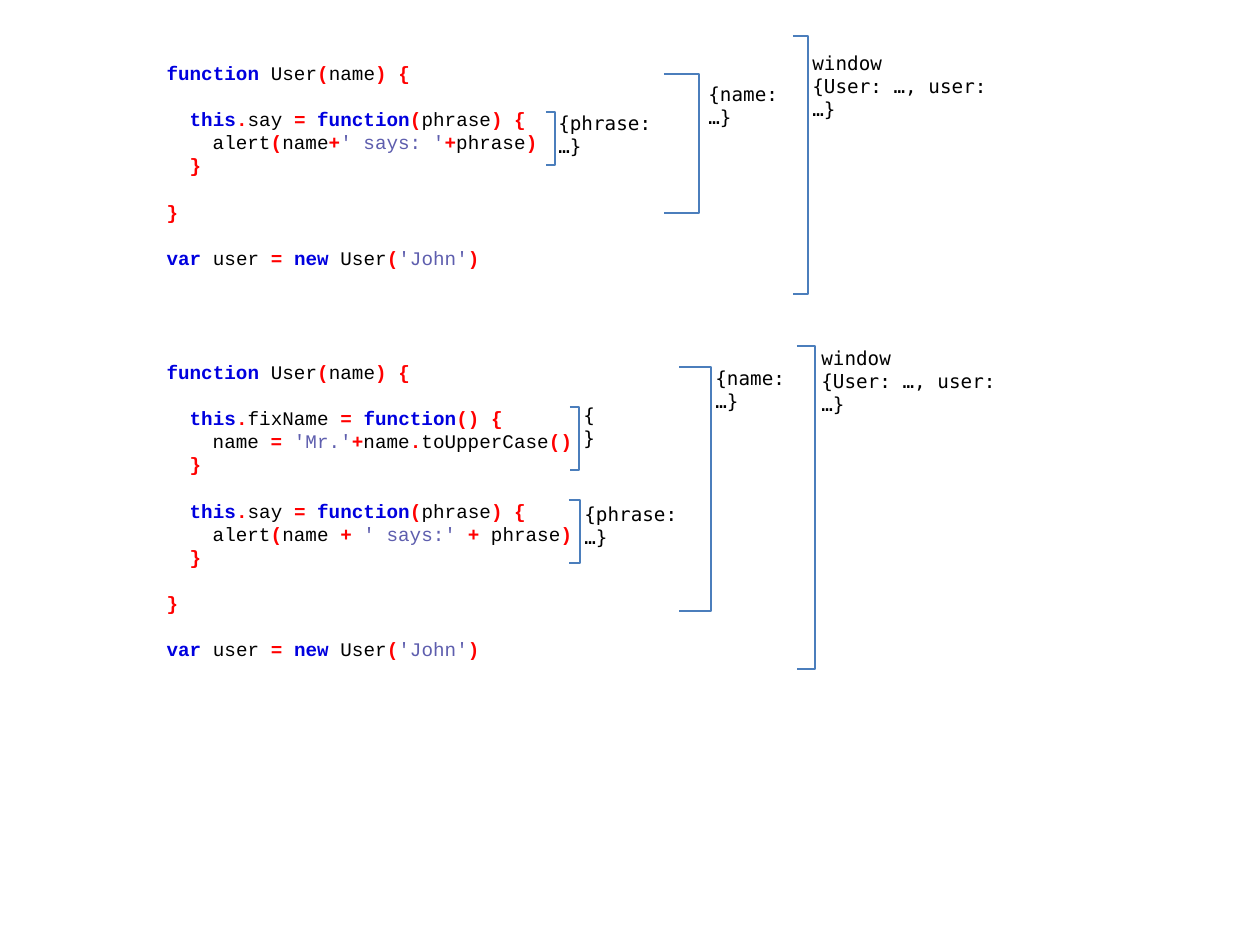
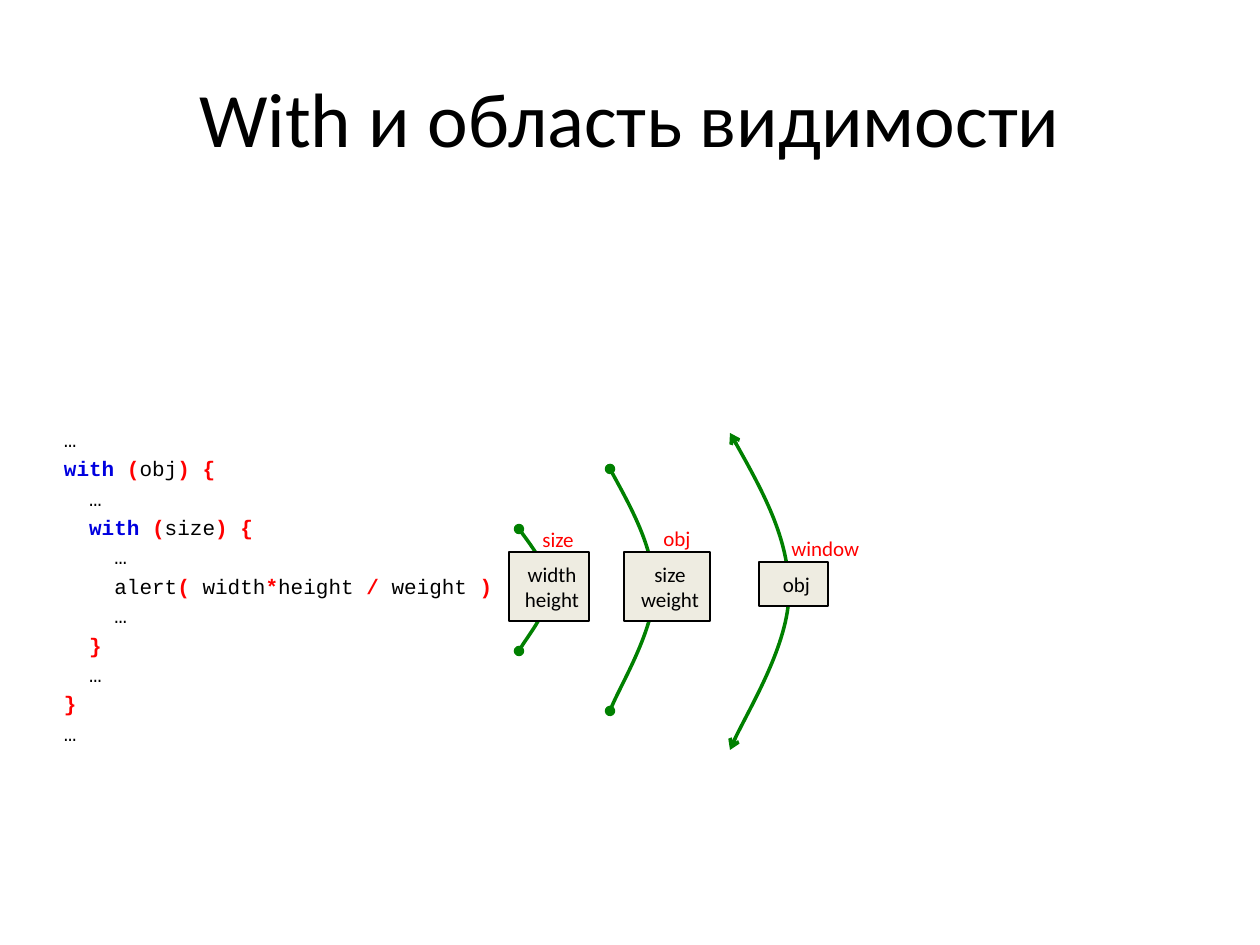
from pptx import Presentation
from pptx.dml.color import RGBColor
from pptx.enum.shapes import MSO_SHAPE
from pptx.enum.text import MSO_ANCHOR, PP_ALIGN
from pptx.oxml.ns import qn
from pptx.util import Pt
from lxml.etree import SubElement

PX = 914400 // 126
BLACK, RED, BLUE, VIOLET = "000000", "FF0000", "0000DF", "5E5EAE"
BRACKET, GREEN, BEIGE = "4B7EBC", "008000", "EEECE1"
CODE, MONO, SANS = "Courier New", "DejaVu Sans Mono", "Calibri"
KEYWORDS = {"function", "this", "var", "new", "with"}
MARKS = set("(){}.=+*/ ")

SAY_CODE = [
    "function |User|(|name|) {", "",
    "  this|.|say |= |function|(|phrase|) {",
    "    alert|(|name|+|' says: '|+|phrase|)",
    "  }", "", "}", "",
    "var |user |= |new |User|(|'John'|)",
]
FIX_CODE = SAY_CODE[:2] + [
    "  this|.|fixName |= |function|() {",
    "    name |= |'Mr.'|+|name|.|toUpperCase|()",
    "  }", "", SAY_CODE[2],
    "    alert|(|name |+ |' says:' |+ |phrase|)",
] + SAY_CODE[4:]
WITH_CODE = [
    "…", "with |(|obj|) {", "  …", "  with |(|size|) {", "    …",
    "    alert|( |width|*|height |/ |weight |)",
    "    …", "  }", "  …", "}", "…",
]

NAME_SCOPE = (["{name: …}"], 121)
PHRASE_SCOPE = (["{phrase: …}"], 142)
EMPTY_SCOPE = (["{}"], 47)
WINDOW_SCOPE = (["window", "{User: …, user: …}"], 217)
SAY_SCOPES = [
    (NAME_SCOPE, (510, 19, 35, 139), (542, 21)),
    (PHRASE_SCOPE, (392, 57, 9, 53), (392, 50)),
    (WINDOW_SCOPE, (639, -19, 15, 258), (646, -10)),
]
FIX_SCOPES = [
    (EMPTY_SCOPE, (416, 53, 9, 63), (417, 43)),
    (PHRASE_SCOPE, (415, 146, 11, 63), (418, 142)),
    (NAME_SCOPE, (525, 13, 32, 244), (549, 6)),
    (WINDOW_SCOPE, (643, -8, 18, 323), (655, -14)),
]
WITH_SCOPES = [
    ("size", ["width", "height"], (19, 99, 30, 122), (9, 122, 80, 69), (30, 90), "oval"),
    ("obj", ["size", "weight"], (110, 39, 44, 242), (124, 122, 86, 69), (151, 89), "oval"),
    ("window", ["obj"], (230, 3, 59, 317), (259, 132, 69, 44), (279, 99), "arrow"),
]


def rgb(value):
    """Turn a hex string into a colour."""
    return RGBColor.from_string(value)


def px(*values):
    """Turn px lengths into EMU."""
    return [round(v * PX) for v in values]


def add_run(p, text, font, size, color=BLACK, bold=False):
    """Add one formatted run."""
    r = p.add_run()
    r.text = text
    r.font.name, r.font.size, r.font.bold = font, Pt(size), bold
    r.font.color.rgb = rgb(color)


def add_lines(tf, lines, font, size, color=BLACK, align=PP_ALIGN.LEFT):
    """Write one paragraph for each line."""
    tf.word_wrap = True
    for i, line in enumerate(lines):
        p = tf.paragraphs[0] if i == 0 else tf.add_paragraph()
        p.alignment = align
        add_run(p, line, font, size, color)


def add_label(s, box, lines, font, size, color=BLACK):
    """Place a plain text label."""
    add_lines(s.shapes.add_textbox(*px(*box)).text_frame, lines, font, size, color)


def token_style(token):
    """Choose colour and weight for a piece of code."""
    if token.strip() in KEYWORDS:
        return BLUE, True
    if token.startswith("'"):
        return VIOLET, False
    return (RED, True) if set(token) <= MARKS else (BLACK, False)


def add_code(s, box, lines, size, gap=0, inset=12.6):
    """Place highlighted code, with indents and gaps as paragraph settings."""
    tf = s.shapes.add_textbox(*px(*box)).text_frame
    tf.word_wrap = True
    tf.margin_left = tf.margin_right = px(inset)[0]
    p, before = tf.paragraphs[0], gap
    for i, line in enumerate(lines):
        if not line:
            before += size * 1.2
            continue
        if i:
            p = tf.add_paragraph()
        p.space_before = Pt(before)
        code = line.lstrip()
        indent = (len(line) - len(code)) * size * 0.6
        p._p.get_or_add_pPr().set("marL", str(Pt(indent)))
        for token in code.split("|"):
            add_run(p, token, CODE, size, *token_style(token))
        before = gap


def style_line(sp, color, width):
    """Set an outline and drop the shadow."""
    sp.shadow.inherit = False
    sp.line.color.rgb, sp.line.width = rgb(color), Pt(width)


def add_bracket(s, box):
    """Place a square right bracket."""
    sp = s.shapes.add_shape(MSO_SHAPE.RIGHT_BRACKET, *px(*box))
    sp.adjustments[0] = 0
    sp.fill.background()
    style_line(sp, BRACKET, 0.75)


def add_code_panel(s, x, y, height, code, scopes):
    """Place code beside the brackets of its scopes."""
    add_code(s, (x, y, 630, height), code, 11)
    for (lines, width), (bx, by, w, h), (lx, ly) in scopes:
        add_bracket(s, (x + bx, y + by, w, h))
        add_label(s, (x + lx, y + ly, width, 18 + 23 * len(lines)), lines, MONO, 11)


def add_arc(s, x, y, w, h, end):
    """Draw a curve bulging right, with the same mark on both ends."""
    half = h / 2
    points = [(w / 2, half / 3), (w, half * 2 / 3), (w, half),
              (w, half * 4 / 3), (w / 6, half * 11 / 6), (0, h)]
    fb = s.shapes.build_freeform(x, y, scale=PX)
    fb.add_line_segments([(x + dx, y + dy) for dx, dy in points], close=False)
    sp = fb.convert_to_shape()
    segments = list(sp._element.iter(qn("a:lnTo")))
    for curve, *rest in (segments[:3], segments[3:]):
        curve.tag = qn("a:cubicBezTo")
        for segment in rest:
            curve.append(segment[0])
            segment.getparent().remove(segment)
    sp.fill.background()
    style_line(sp, GREEN, 2)
    for tag in ("a:headEnd", "a:tailEnd"):
        SubElement(sp.line._get_or_add_ln(), qn(tag), type=end)


def add_members(s, box, names):
    """Place the box that lists the names in a scope."""
    sp = s.shapes.add_shape(MSO_SHAPE.RECTANGLE, *px(*box))
    sp.fill.solid()
    sp.fill.fore_color.rgb = rgb(BEIGE)
    style_line(sp, BLACK, 0.75)
    tf = sp.text_frame
    tf.margin_left, tf.margin_right = px(6, 0)
    tf.vertical_anchor = MSO_ANCHOR.MIDDLE
    add_lines(tf, names, SANS, 12, align=PP_ALIGN.CENTER)


def add_scope_chain(s, x, y):
    """Place the nested scopes as arcs with boxes."""
    for name, members, (ax, ay, w, h), (bx, by, bw, bh), (lx, ly), end in WITH_SCOPES:
        add_arc(s, x + ax, y + ay, w, h, end)
        add_members(s, (x + bx, y + by, bw, bh), members)
        add_label(s, (x + lx, y + ly, 110, 38), [name], SANS, 12, RED)


def add_closure_slide(prs):
    """Build the slide of two constructors and their scopes."""
    s = prs.slides.add_slide(prs.slide_layouts[6])
    add_code_panel(s, 154, 55, 223, SAY_CODE, SAY_SCOPES)
    add_code_panel(s, 154, 354, 316, FIX_CODE, FIX_SCOPES)


def add_with_slide(prs):
    """Build the titled slide about with and scope."""
    s = prs.slides.add_slide(prs.slide_layouts[5])
    title = s.shapes.title
    title.left, title.top, title.width, title.height = px(63, 38, 1134, 157)
    title.text_frame.vertical_anchor = MSO_ANCHOR.MIDDLE
    add_lines(title.text_frame, ["With и область видимости"], SANS, 44, align=PP_ALIGN.CENTER)
    add_code(s, (64, 420, 507, 360), WITH_CODE, 12, gap=2.4, inset=0)
    add_scope_chain(s, 500, 430)


def main():
    """Build and save the presentation."""
    prs = Presentation()
    prs.slide_width, prs.slide_height = px(1260, 945)
    add_closure_slide(prs)
    add_with_slide(prs)
    prs.save("out.pptx")


if __name__ == "__main__":
    main()
